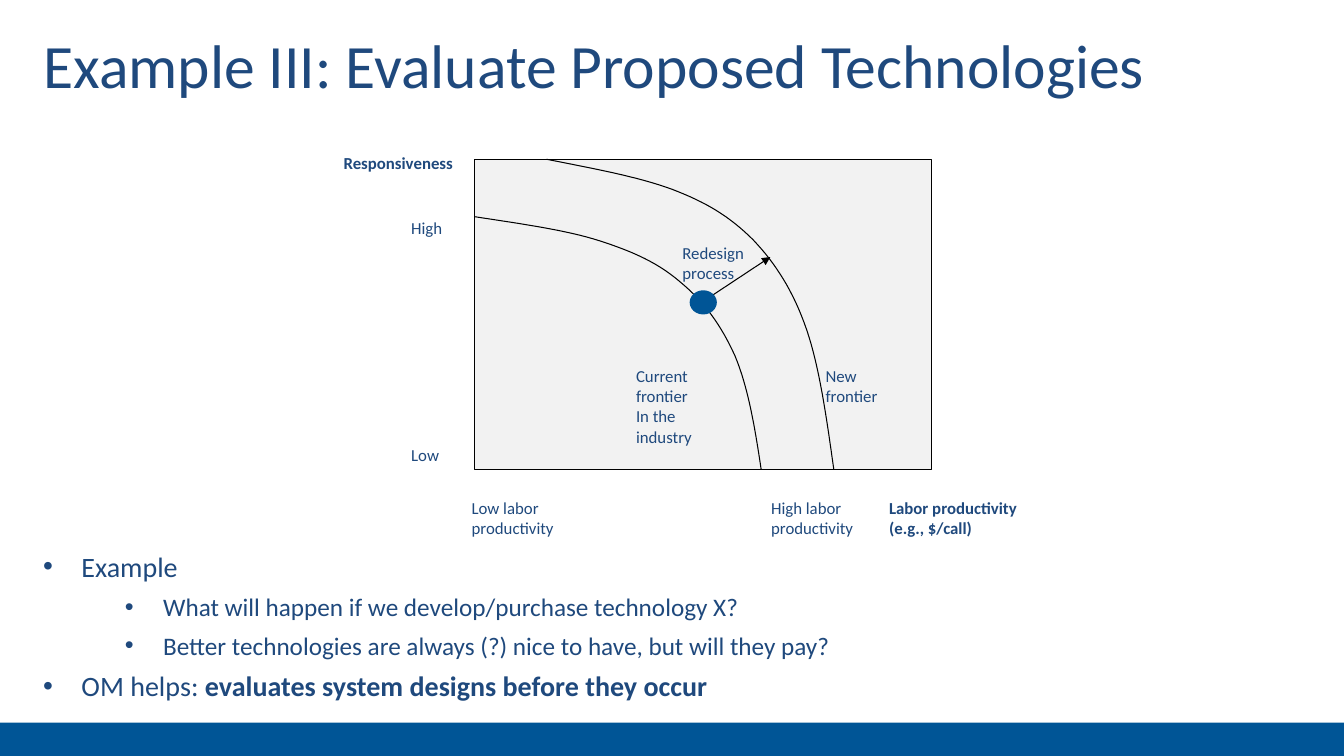
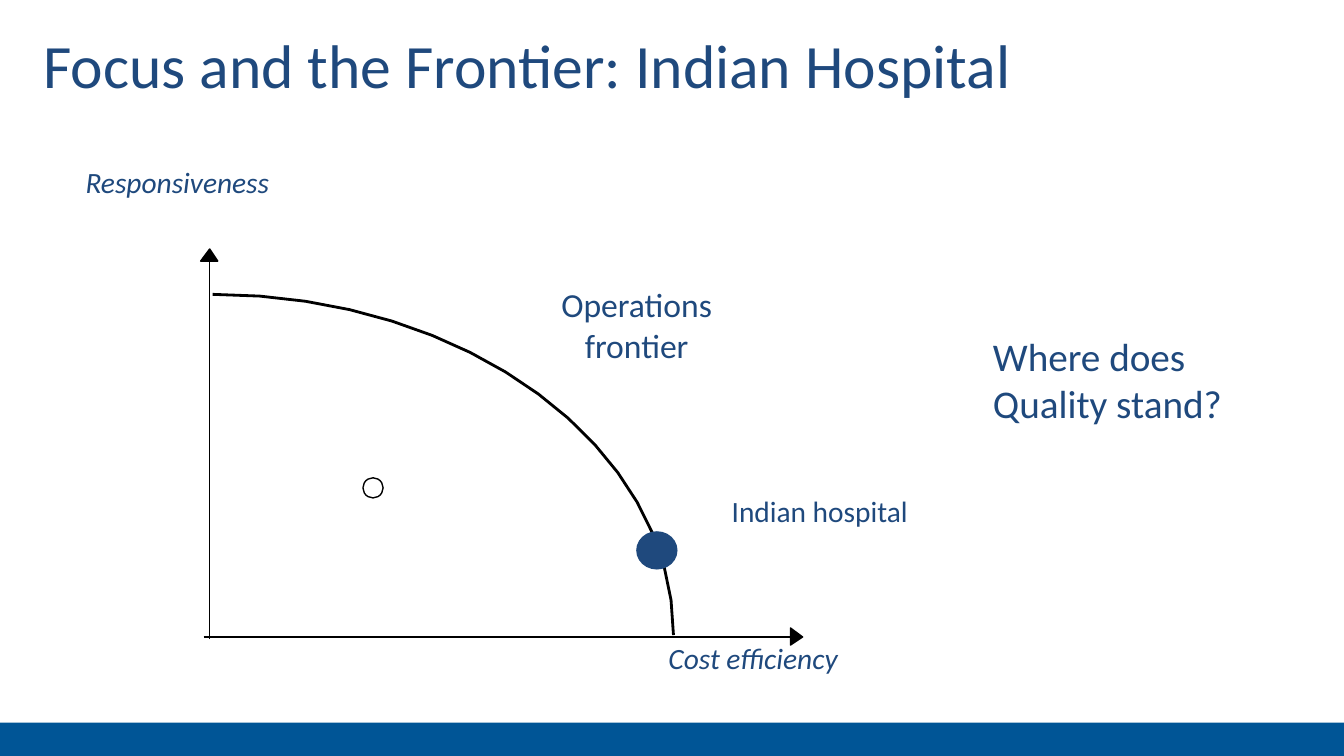
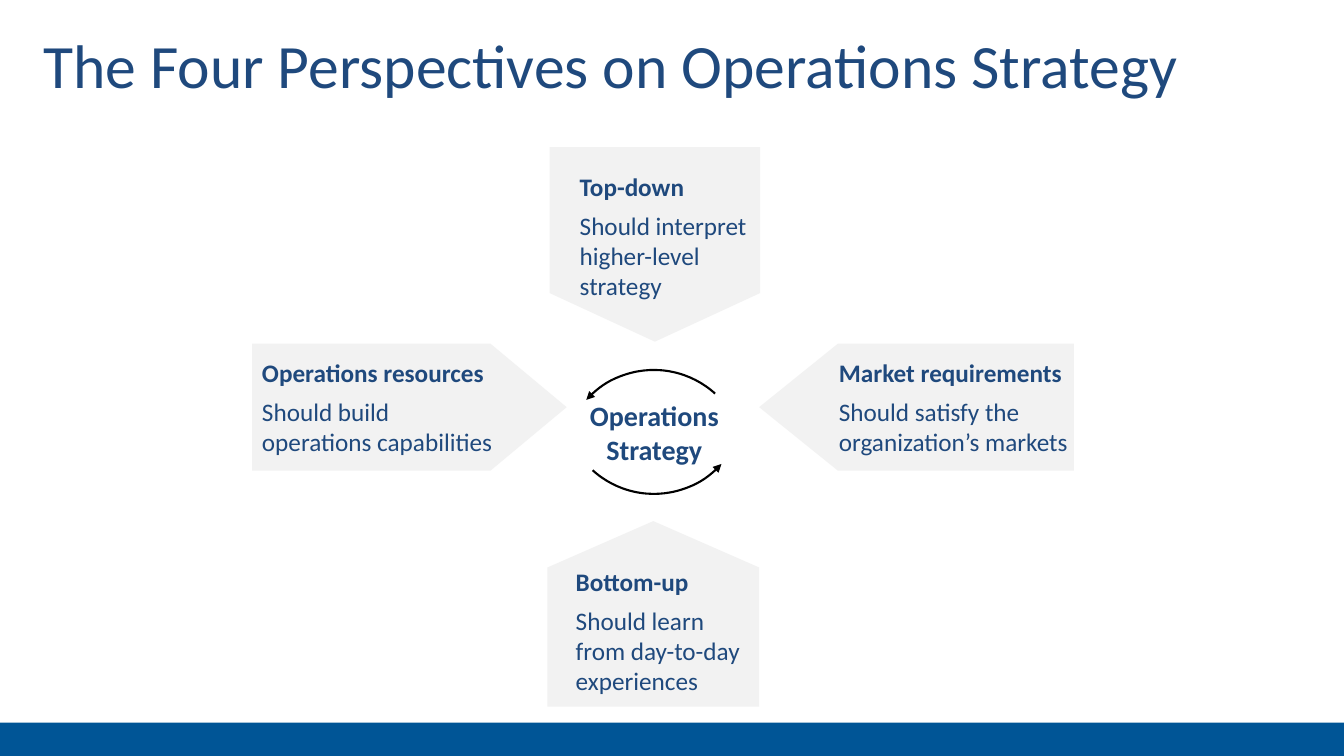
from lxml import etree
from pptx import Presentation
from pptx.dml.color import RGBColor
from pptx.enum.shapes import MSO_CONNECTOR, MSO_SHAPE
from pptx.enum.text import MSO_ANCHOR, PP_ALIGN
from pptx.oxml.ns import qn
from pptx.shapes.connector import Connector
from pptx.util import Inches, Pt

NAVY = RGBColor(0x1F, 0x49, 0x7D)
BLUE = RGBColor(0x00, 0x55, 0x96)
PALE = RGBColor(0xF2, 0xF2, 0xF2)
BLACK = RGBColor(0x00, 0x00, 0x00)
FONT = "Calibri"
CURVE_STEPS = 16


def write(frame, text, size=12, bold=False, italic=False, align=PP_ALIGN.LEFT,
          before=0, bold_tail=""):
    for number, line in enumerate(text.split("\n")):
        first = not frame.text
        paragraph = frame.paragraphs[0] if first else frame.add_paragraph()
        paragraph.alignment = align
        if before and not first and number == 0:
            paragraph.space_before = Pt(before)
        for words, weight in ((line, bold), (bold_tail, True)):
            if words:
                run = paragraph.add_run()
                run.text = words
                run.font.name = FONT
                run.font.size = Pt(size)
                run.font.bold = weight
                run.font.italic = italic
                run.font.color.rgb = NAVY
    return paragraph


def paint(part, fill=None, weight=0, arrow=None):
    properties = part.element.spPr
    if weight:
        part.line.color.rgb = BLACK
        part.line.width = Pt(weight)
    else:
        part.line.fill.background()
    if arrow:
        etree.SubElement(properties.find(qn("a:ln")), qn(arrow), type="triangle")
    if isinstance(part, Connector):
        etree.SubElement(properties, qn("a:effectLst"))
        return
    part.shadow.inherit = False
    if fill is None:
        part.fill.background()
    else:
        part.fill.solid()
        part.fill.fore_color.rgb = fill


deck = Presentation()
deck.slide_width = Inches(13.33)
deck.slide_height = Inches(7.5)
title_only = deck.slide_layouts[5]

for heading in ("Example III: Evaluate Proposed Technologies",
                "Focus and the Frontier: Indian Hospital",
                "The Four Perspectives on Operations Strategy"):
    title = deck.slides.add_slide(title_only).shapes.title
    title.left, title.top = Inches(0.33), Inches(0.17)
    title.width, title.height = Inches(12.67), Inches(0.92)
    title.text_frame.vertical_anchor = MSO_ANCHOR.MIDDLE
    write(title.text_frame, heading, size=44)

technologies, hospital, perspectives = deck.slides

band = technologies.shapes.add_shape(
    MSO_SHAPE.RECTANGLE, 0, Inches(7.17), deck.slide_width, Inches(0.33))
paint(band, fill=BLUE)
title_only.shapes.element.append(band.element)

plot = technologies.shapes.add_shape(
    MSO_SHAPE.RECTANGLE, Inches(4.71), Inches(1.58), Inches(4.53), Inches(3.08))
paint(plot, fill=PALE, weight=0.75)

current_frontier = [
    (4.71, 2.15), (5.16, 2.22), (5.61, 2.28), (5.95, 2.39), (6.29, 2.5),
    (6.53, 2.61), (6.75, 2.8), (6.98, 2.99), (7.15, 3.22), (7.29, 3.53),
    (7.42, 3.84), (7.49, 4.25), (7.55, 4.66)]
new_frontier = [
    (5.42, 1.58), (5.87, 1.67), (6.32, 1.75), (6.67, 1.88), (7.01, 2.01),
    (7.24, 2.15), (7.47, 2.38), (7.69, 2.61), (7.87, 2.89), (8, 3.27),
    (8.13, 3.65), (8.2, 4.16), (8.27, 4.66)]
operations_frontier = [(2.11, 2.92), (4.63, 2.92), (6.68, 4.43), (6.68, 6.3)]

for slide, weight, controls in ((technologies, 0.75, current_frontier),
                                (technologies, 0.75, new_frontier),
                                (hospital, 2, operations_frontier)):
    points = []
    for start in range(0, len(controls) - 1, 3):
        a, b, c, d = controls[start:start + 4]
        for step in range(1, CURVE_STEPS + 1):
            t = step / CURVE_STEPS
            u = 1 - t
            points.append(tuple(
                Inches(u**3 * a[i] + 3 * u * u * t * b[i] + 3 * u * t * t * c[i] + t**3 * d[i])
                for i in (0, 1)))
    x, y = controls[0]
    outline = slide.shapes.build_freeform(Inches(x), Inches(y))
    outline.add_line_segments(points, close=False)
    paint(outline.convert_to_shape(), weight=weight)

for slide, start, end, weight, arrow in (
        (technologies, (7.02, 2.96), (7.64, 2.55), 0.75, "a:tailEnd"),
        (hospital, (2.02, 6.32), (7.87, 6.32), 1, None),
        (hospital, (2.08, 6.34), (2.08, 2.56), 1, None)):
    line = slide.shapes.add_connector(
        MSO_CONNECTOR.STRAIGHT, *(Inches(value) for value in start + end))
    paint(line, weight=weight, arrow=arrow)

for corners in ([(7.84, 6.23), (7.84, 6.4), (7.96, 6.32)],
                [(1.99, 2.59), (2.16, 2.59), (2.08, 2.47)]):
    tips = [(Inches(x), Inches(y)) for x, y in corners]
    outline = hospital.shapes.build_freeform(*tips[0])
    outline.add_line_segments(tips[1:], close=True)
    paint(outline.convert_to_shape(), fill=BLACK, weight=1)

for slide, box, fill, weight in (
        (technologies, (6.84, 2.88, 0.27, 0.24), BLUE, 0),
        (hospital, (6.31, 5.27, 0.41, 0.38), NAVY, 0),
        (hospital, (3.6, 4.74, 0.2, 0.2), None, 1)):
    position = slide.shapes.add_shape(MSO_SHAPE.OVAL, *(Inches(value) for value in box))
    paint(position, fill=fill, weight=weight)

axis_name = dict(size=21, italic=True)
centred = dict(align=PP_ALIGN.CENTER)
for slide, box, text, style in (
        (technologies, (6.67, 2.36, 0.81, 0.45), "Redesign\nprocess", {}),
        (technologies, (6.21, 3.58, 1.18, 0.45), "Current frontier\nIn the industry", {}),
        (technologies, (8.09, 3.58, 0.98, 0.27), "New frontier", {}),
        (technologies, (3.31, 1.47, 1.3, 0.3), "Responsiveness", dict(bold=True)),
        (technologies, (3.98, 4.36, 0.51, 0.3), "Low", {}),
        (technologies, (3.98, 2.11, 0.54, 0.3), "High", {}),
        (technologies, (8.72, 4.89, 1.59, 0.5), "Labor productivity\n(e.g., $/call)",
         dict(bold=True)),
        (technologies, (4.58, 4.89, 1.04, 0.5), "Low labor\nproductivity", {}),
        (technologies, (7.55, 4.89, 1.04, 0.5), "High labor\nproductivity", {}),
        (hospital, (6.18, 6.3, 2.58, 0.56), "Cost efficiency", axis_name | centred),
        (hospital, (0.75, 1.58, 2.88, 0.56), "Responsiveness", axis_name),
        (hospital, (6.82, 4.84, 2.62, 0.56), "Indian hospital", dict(size=21) | centred),
        (hospital, (5.23, 2.77, 2.17, 1.11), "Operations\nfrontier", dict(size=24) | centred)):
    label = slide.shapes.add_textbox(*(Inches(value) for value in box)).text_frame
    label.word_wrap = False
    write(label, text, **style)

question = hospital.shapes.add_textbox(
    Inches(9.75), Inches(3.25), Inches(2.83), Inches(0.86)).text_frame
question.word_wrap = True
write(question, "Where does Quality stand?", size=28)

summary = technologies.shapes.add_textbox(
    Inches(0.33), Inches(5.4), Inches(12.67), Inches(1.69)).text_frame
summary.word_wrap = True
for level, text, bold_tail in (
        (0, "Example", ""),
        (1, "What will happen if we develop/purchase technology X?", ""),
        (1, "Better technologies are always (?) nice to have, but will they pay?", ""),
        (0, "OM helps: ", "evaluates system designs before they occur")):
    item = write(summary, text, size=(20, 18)[level], before=6, bold_tail=bold_tail)
    item.level = level
    settings = item._p.get_or_add_pPr()
    settings.set("marL", str(Inches((0.38, 1.19)[level])))
    settings.set("indent", str(Inches(-0.38)))
    etree.SubElement(settings, qn("a:buFont"), typeface="Arial")
    etree.SubElement(settings, qn("a:buChar"), char="•")

plates = []
for box, point, rotation in (((5.53, 1.38, 1.93, 2.09), 0.25, 90),
                             ((5.56, 5.04, 1.84, 2.1), 0.25, 270),
                             ((2.5, 3.41, 3.12, 1.26), 0.6, 0),
                             ((7.53, 3.41, 3.12, 1.26), 0.62, 0)):
    plate = perspectives.shapes.add_shape(
        MSO_SHAPE.PENTAGON, *(Inches(value) for value in box))
    plate.adjustments[0] = point
    plate.rotation = rotation
    paint(plate, fill=PALE)
    plates.append(plate)

resources, market = plates[2:]
market.element.spPr.xfrm.set("flipH", "1")
top_down = perspectives.shapes.add_textbox(
    Inches(5.45), Inches(1.46), Inches(2.1), Inches(1.77))
bottom_up = perspectives.shapes.add_textbox(
    Inches(5.62), Inches(5.58), Inches(1.95), Inches(1.43))

for holder, heading, text, wrap, anchor, insets in (
        (top_down, "Top-down", "Should interpret higher-level strategy",
         True, MSO_ANCHOR.MIDDLE, (0.3, 0.04, 0.09)),
        (bottom_up, "Bottom-up", "Should learn from day-to-day experiences",
         True, MSO_ANCHOR.TOP, (0.09, 0.04, 0.09)),
        (resources, "Operations resources", "Should build\noperations capabilities",
         False, MSO_ANCHOR.MIDDLE, (0.1, 0.05, 0.1)),
        (market, "Market requirements", "Should satisfy the\norganization’s markets",
         False, MSO_ANCHOR.MIDDLE, (0.4, 0.05, 0.1))):
    frame = holder.text_frame
    frame.word_wrap = wrap
    frame.vertical_anchor = anchor
    left, edge, right = (Inches(value) for value in insets)
    frame.margin_left, frame.margin_right = left, right
    frame.margin_top = frame.margin_bottom = edge
    write(frame, heading, size=18, bold=True)
    write(frame, text, size=18, before=6)

strategy = perspectives.shapes.add_textbox(
    Inches(5.55), Inches(3.94), Inches(1.88), Inches(0.7)).text_frame
strategy.word_wrap = True
strategy.vertical_anchor = MSO_ANCHOR.MIDDLE
write(strategy, "Operations Strategy", size=20, bold=True, align=PP_ALIGN.CENTER)

for top, rotation in ((3.67, 312.2), (3.09, 132.2)):
    cycle = perspectives.shapes.add_shape(
        MSO_SHAPE.ARC, Inches(5.58), Inches(top), Inches(1.81), Inches(1.81))
    cycle.rotation = rotation
    paint(cycle, weight=1.5, arrow="a:headEnd")

deck.save("out.pptx")
